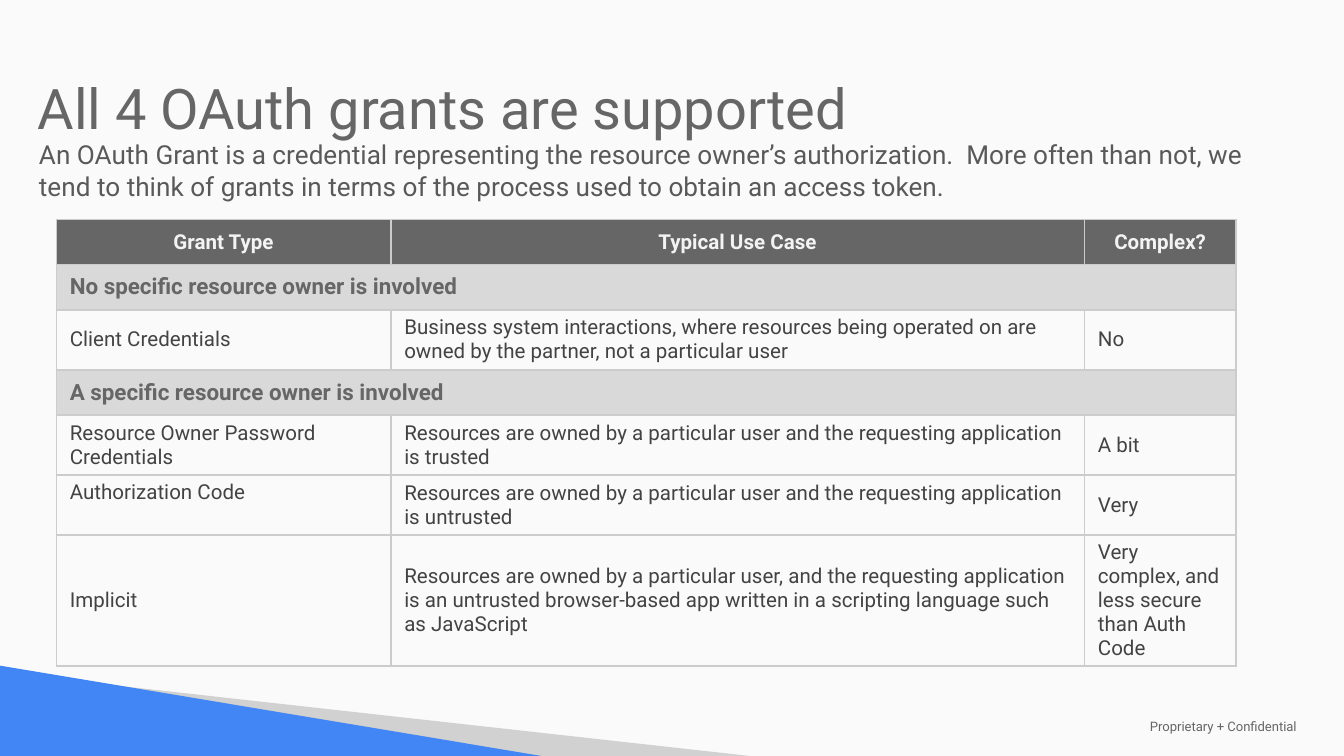
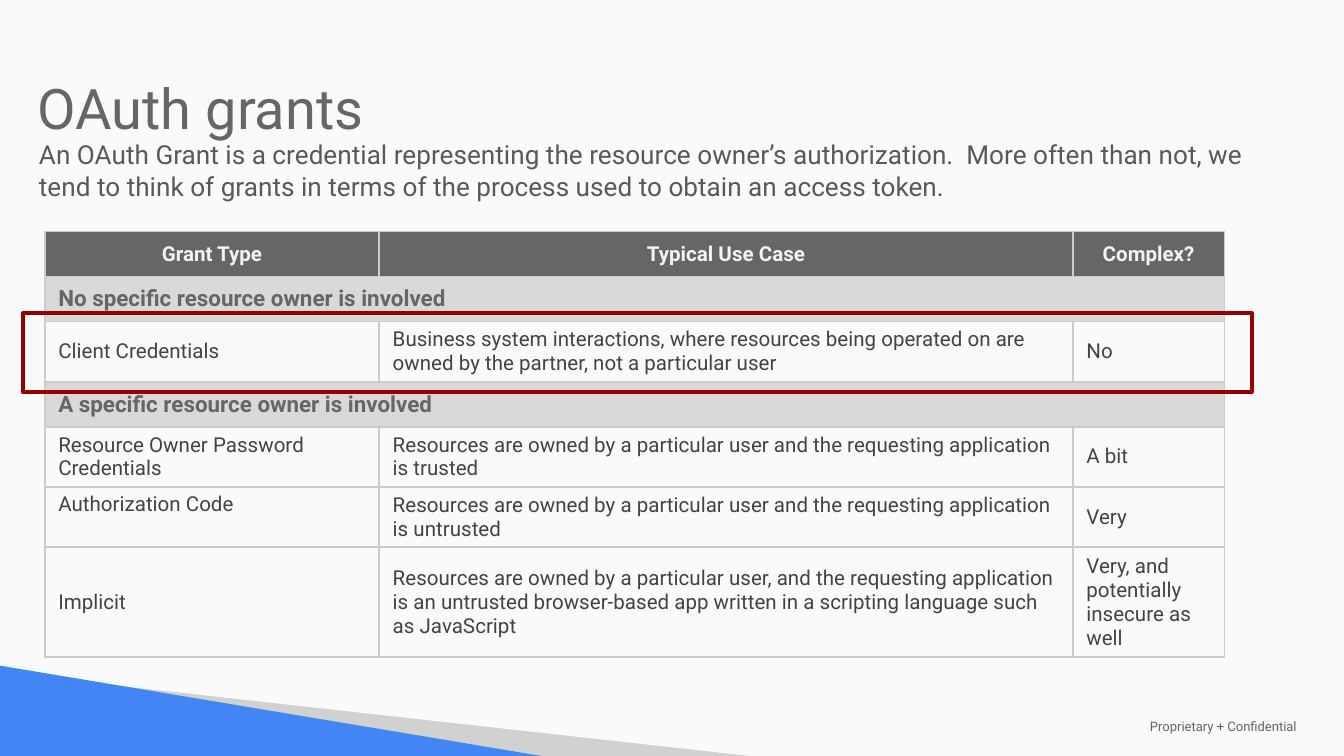
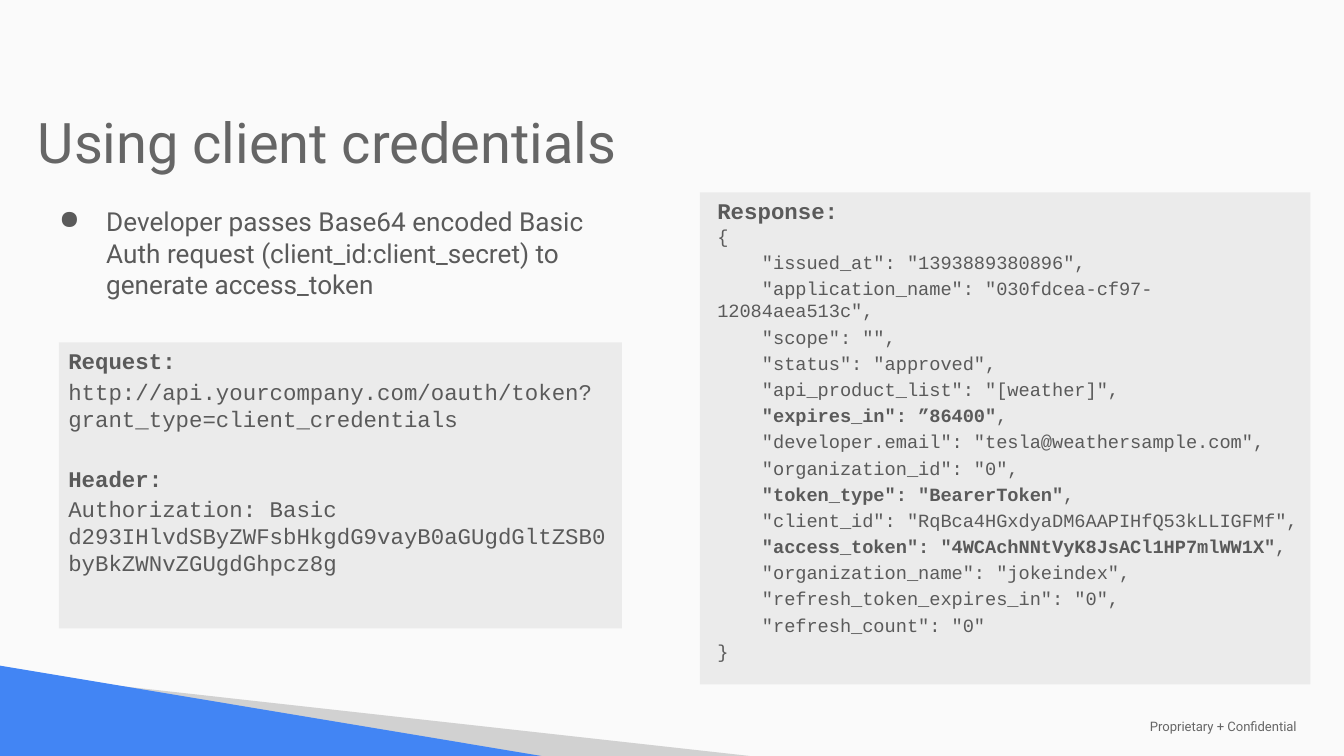
from dataclasses import dataclass
from typing import NamedTuple

from lxml.etree import SubElement
from pptx import Presentation
from pptx.dml.color import RGBColor as RGB
from pptx.enum.shapes import MSO_SHAPE as SHAPE
from pptx.enum.text import MSO_ANCHOR as ANCHOR, MSO_AUTO_SIZE as AUTO, PP_ALIGN as ALIGN
from pptx.oxml.ns import qn
from pptx.util import Pt


@dataclass(frozen=True)
class Theme:
    sans: str = "Roboto"
    mono: str = "Courier New"
    paper: str = "FAFAFA"
    blue: str = "4285F4"
    shade: str = "D1D1D1"
    heading: str = "666666"
    intro: str = "595959"
    text: str = "5A5A5A"
    header_text: str = "F3F3F3"
    cell_text: str = "434343"
    section_fill: str = "D9D9D9"
    border: str = "CCCCCC"
    code_fill: str = "EBEBEB"
    highlight: str = "980000"
    title_size: float = 30
    body_size: float = 14
    section_size: float = 12
    cell_size: float = 11
    code_size: float = 10
    footer_size: float = 7


T = Theme()


class Box(NamedTuple):
    x: float
    y: float
    w: float
    h: float

    def pts(self) -> list:
        return [Pt(v) for v in self]


class Style(NamedTuple):
    size: float
    color: str
    bold: bool = False
    font: str = T.sans


class CodeLine(NamedTuple):
    """One line of code; tail follows the text and is never bold."""
    text: str
    bold: bool = False
    tail: str = ""
    size: float = T.code_size
    before: float = 2


class GrantSlide(NamedTuple):
    title: str
    table_x: float
    table_y: float
    implicit: str
    marked: Box | None = None


TITLE = Style(T.title_size, T.heading)
INTRO = Style(T.body_size, T.intro)
BULLET = Style(T.body_size, T.text)
HEADER = Style(T.cell_size, T.header_text, True)
SECTION = Style(T.section_size, T.heading, True)
CELL = Style(T.cell_size, T.cell_text)
FOOTER = Style(T.footer_size, T.heading)

INTRO_TEXT = (
    "An OAuth Grant is a credential representing the resource owner’s authorization.  "
    "More often than not, we tend to think of grants in terms of the process used to "
    "obtain an access token."
)
COLUMNS = (179.2, 371.6, 81.2)
ROWS = (24.2, 24.2, 32.2, 24.2, 32.2, 32.2, 59)
GRANTS = (
    ("Grant Type", "Typical Use Case", "Complex?"),
    ("No specific resource owner is involved",),
    ("Client Credentials",
     "Business system interactions, where resources being operated on are owned by "
     "the partner, not a particular user", "No"),
    ("A specific resource owner is involved",),
    ("Resource Owner Password Credentials",
     "Resources are owned by a particular user and the requesting application is trusted",
     "A bit"),
    ("Authorization Code",
     "Resources are owned by a particular user and the requesting application is untrusted",
     "Very"),
)
IMPLICIT = (
    "Implicit",
    "Resources are owned by a particular user, and the requesting application is an "
    "untrusted browser-based app written in a scripting language such as JavaScript",
)
TOP_ANCHORED = "Authorization Code"
GRANT_SLIDES = (
    GrantSlide("All 4 OAuth grants are supported", 30.2, 117.6,
               "Very complex, and less secure than Auth Code"),
    GrantSlide("OAuth grants", 24, 124, "Very, and potentially insecure as well",
               Box(12.2, 167.8, 658.4, 42.2)),
)

REQUEST = (
    CodeLine("Request:", True, size=12, before=0),
    CodeLine("http://api.yourcompany.com/oauth/token?grant_type=client_credentials", size=12),
    CodeLine("Header:", True, size=12, before=17.6),
    CodeLine("Authorization: Basic d293IHlvdSByZWFsbHkgdG9vayB0aGUgdGltZSB0byBkZWNvZGUgdGhpcz8g",
             size=12),
)
RESPONSE = (
    CodeLine("Response:", True, size=12, before=0),
    CodeLine("{", before=0),
    CodeLine('    "issued_at": "1393889380896",'),
    CodeLine('    "application_name": "030fdcea-cf97-12084aea513c",'),
    CodeLine('    "scope": "",'),
    CodeLine('    "status": "approved",'),
    CodeLine('    "api_product_list": "[weather]",'),
    CodeLine('    "expires_in": ”86400"', True, ","),
    CodeLine('    "developer.email": "tesla@weathersample.com",'),
    CodeLine('    "organization_id": "0",'),
    CodeLine('    "token_type": "BearerToken"', True, ","),
    CodeLine('    "client_id": "RqBca4HGxdyaDM6AAPIHfQ53kLLIGFMf",'),
    CodeLine('    "access_token": "4WCAchNNtVyK8JsACl1HP7mlWW1X"', True, ","),
    CodeLine('    "organization_name": "jokeindex",'),
    CodeLine('    "refresh_token_expires_in": "0",'),
    CodeLine('    "refresh_count": "0"'),
    CodeLine("}"),
)


def style_run(r, style: Style) -> None:
    f = r.font
    f.name, f.size, f.bold = style.font, Pt(style.size), style.bold
    f.color.rgb = RGB.from_string(style.color)


def fill_solid(target, color: str) -> None:
    target.fill.solid()
    target.fill.fore_color.rgb = RGB.from_string(color)


def set_frame(tf, anchor, side: float = 7.2, top: float = 7.2) -> None:
    tf.word_wrap = True
    tf.auto_size = AUTO.NONE
    tf.vertical_anchor = anchor
    tf.margin_left = tf.margin_right = Pt(side)
    tf.margin_top = tf.margin_bottom = Pt(top)


def set_text(tf, text: str, style: Style, align=ALIGN.LEFT):
    tf.text = text
    p = tf.paragraphs[0]
    p.alignment = align
    style_run(p.runs[0], style)
    return p


def add_text(slide, box: Box, text: str, style: Style, anchor=ANCHOR.TOP):
    sp = slide.shapes.add_textbox(*box.pts())
    set_frame(sp.text_frame, anchor)
    set_text(sp.text_frame, text, style)
    return sp


def add_rect(slide, box: Box):
    sp = slide.shapes.add_shape(SHAPE.RECTANGLE, *box.pts())
    sp.shadow.inherit = False
    return sp


def add_triangle(slide, corners: list[tuple[float, float]], color: str):
    start, *rest = [(Pt(x), Pt(y)) for x, y in corners]
    builder = slide.shapes.build_freeform(*start)
    builder.add_line_segments(rest, close=True)
    sp = builder.convert_to_shape()
    sp.shadow.inherit = False
    fill_solid(sp, color)
    sp.line.fill.background()
    return sp


def move_backdrop_to_layout(slide) -> None:
    """Draw the corner band and footer, then hand them to the slide's layout."""
    layout = slide.slide_layout
    fill_solid(layout.background, T.paper)
    for ph in list(layout.placeholders)[1:]:
        ph.element.getparent().remove(ph.element)
    parts = (
        add_triangle(slide, [(61.4, 367.2), (401.6, 405), (288.6, 405)], T.shade),
        add_triangle(slide, [(0, 356.6), (0, 405), (290, 405)], T.blue),
        add_text(slide, Box(609, 384, 107.2, 10), "Proprietary + Confidential",
                 FOOTER, ANCHOR.MIDDLE),
    )
    for sp in parts:
        layout.shapes.element.append(sp.element)


def add_slide(prs, title: str, title_y: float, spacing: float = 1):
    slide = prs.slides.add_slide(prs.slide_layouts[5])
    sp = slide.shapes.title
    sp.left, sp.top, sp.width, sp.height = Box(13, title_y, 520.6, 59.8).pts()
    set_frame(sp.text_frame, ANCHOR.BOTTOM)
    set_text(sp.text_frame, title, TITLE).line_spacing = spacing
    return slide


def set_borders(cell) -> None:
    tc_pr = cell._tc.get_or_add_tcPr()
    for side in ("lnL", "lnR", "lnT", "lnB"):
        ln = SubElement(tc_pr, qn(f"a:{side}"), w=str(Pt(1)))
        SubElement(SubElement(ln, qn("a:solidFill")), qn("a:srgbClr"), val=T.border)


def format_cell(cell, fill: str | None) -> None:
    set_borders(cell)
    cell.margin_left = cell.margin_right = Pt(7.2)
    cell.margin_top = cell.margin_bottom = Pt(2.9)
    cell.vertical_anchor = ANCHOR.MIDDLE
    if fill:
        fill_solid(cell, fill)
    else:
        cell.fill.background()


def add_grant_table(slide, x: float, y: float, rows: tuple) -> None:
    box = Box(x, y, sum(COLUMNS), sum(ROWS))
    table = slide.shapes.add_table(len(ROWS), len(COLUMNS), *box.pts()).table
    table.first_row = table.horz_banding = False
    for column, width in zip(table.columns, COLUMNS):
        column.width = Pt(width)
    for i, (texts, height) in enumerate(zip(rows, ROWS)):
        table.rows[i].height = Pt(height)
        if i == 0:
            style, fill, align = HEADER, T.heading, ALIGN.CENTER
        elif len(texts) == 1:
            style, fill, align = SECTION, T.section_fill, ALIGN.LEFT
            table.cell(i, 0).merge(table.cell(i, len(COLUMNS) - 1))
        else:
            style, fill, align = CELL, None, ALIGN.LEFT
        for cell in table.rows[i].cells:
            format_cell(cell, fill)
        for j, text in enumerate(texts):
            cell = table.cell(i, j)
            set_text(cell.text_frame, text, style, align)
            if text == TOP_ANCHORED:
                cell.vertical_anchor = ANCHOR.TOP


def add_grant_slide(prs, content: GrantSlide):
    slide = add_slide(prs, content.title, 23, 1.15)
    add_text(slide, Box(13.8, 67, 669.6, 51.8), INTRO_TEXT, INTRO)
    rows = (*GRANTS, (*IMPLICIT, content.implicit))
    add_grant_table(slide, content.table_x, content.table_y, rows)
    if content.marked:
        sp = add_rect(slide, content.marked)
        sp.fill.background()
        sp.line.color.rgb = RGB.from_string(T.highlight)
        sp.line.width = Pt(2)
    return slide


def set_indent(p, left: float, first: float = 0):
    p_pr = p._p.get_or_add_pPr()
    p_pr.set("marL", str(Pt(left)))
    p_pr.set("indent", str(Pt(first)))
    return p_pr


def add_bullet(slide, box: Box, text: str) -> None:
    p = add_text(slide, box, text, BULLET).text_frame.paragraphs[0]
    p_pr = set_indent(p, 36, -25.2)
    SubElement(SubElement(p_pr, qn("a:buClr")), qn("a:srgbClr"), val=T.text)
    SubElement(p_pr, qn("a:buChar"), char="●")


def add_code(slide, box: Box, lines: tuple[CodeLine, ...], indent: float = 0) -> None:
    sp = add_rect(slide, box)
    fill_solid(sp, T.code_fill)
    sp.line.fill.background()
    tf = sp.text_frame
    set_frame(tf, ANCHOR.TOP, side=5, top=2.8)
    for i, line in enumerate(lines):
        p = tf.add_paragraph() if i else tf.paragraphs[0]
        p.alignment = ALIGN.LEFT
        p.space_before = Pt(line.before)
        set_indent(p, indent)
        for text, bold in ((line.text, line.bold), (line.tail, False)):
            if text:
                r = p.add_run()
                r.text = text
                style_run(r, Style(line.size, T.text, bold, T.mono))


def add_credentials_slide(prs) -> None:
    slide = add_slide(prs, "Using client credentials", 41)
    add_bullet(slide, Box(13.8, 103, 337, 268.6),
               "Developer passes Base64 encoded Basic Auth request "
               "(client_id:client_secret) to generate access_token")
    add_code(slide, Box(31.6, 183.4, 301.6, 153.2), REQUEST)
    add_code(slide, Box(375, 103, 327, 263.6), RESPONSE, indent=4.3)


def main() -> None:
    prs = Presentation()
    prs.slide_width, prs.slide_height = Pt(720), Pt(405)
    slides = [add_grant_slide(prs, content) for content in GRANT_SLIDES]
    move_backdrop_to_layout(slides[0])
    add_credentials_slide(prs)
    prs.save("out.pptx")


if __name__ == "__main__":
    main()
